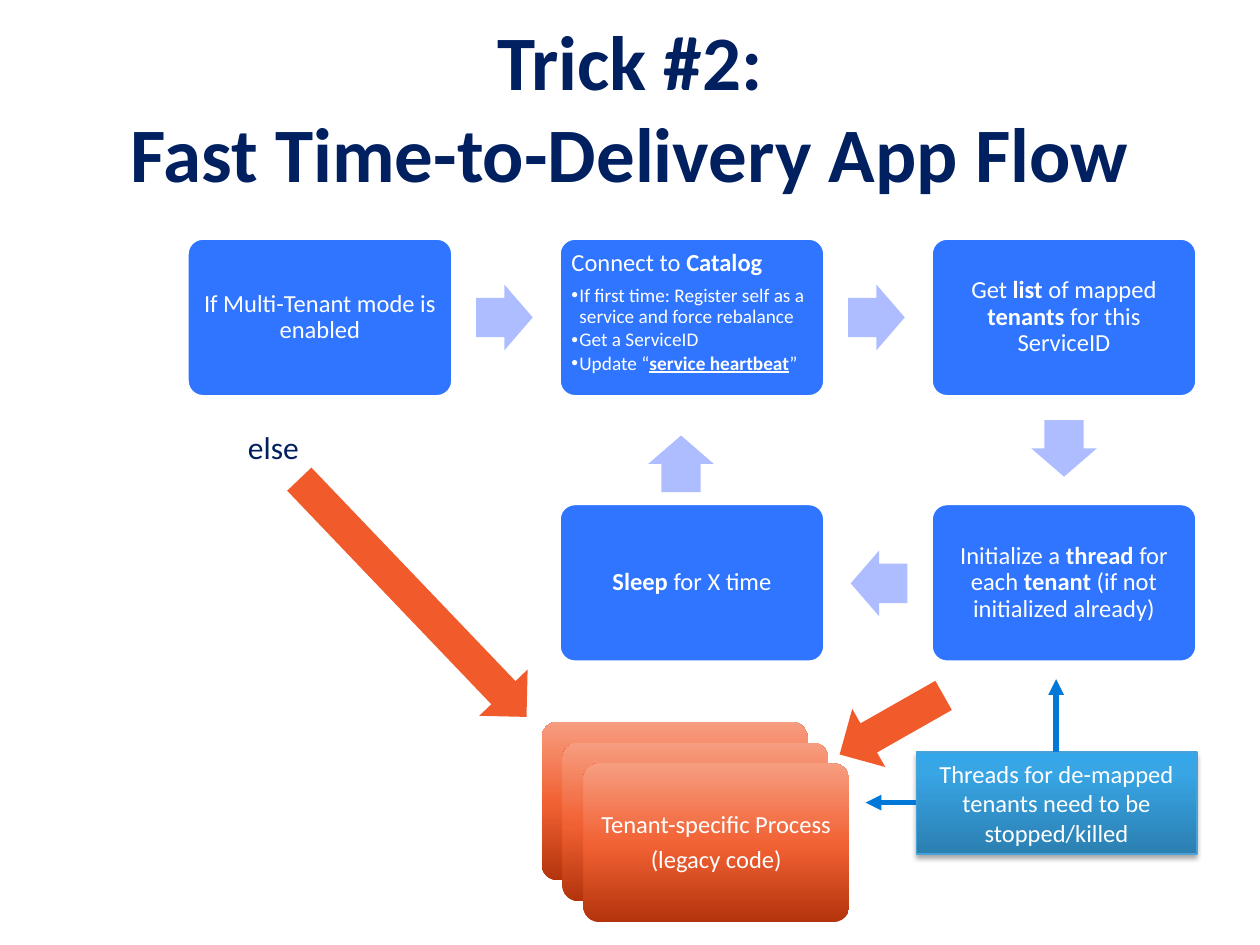
from dataclasses import dataclass

import pptx
import pptx.dml.color
import pptx.enum.shapes
import pptx.enum.text
import pptx.oxml
import pptx.oxml.ns
import pptx.util
from lxml import etree

Cm = pptx.util.Cm
Pt = pptx.util.Pt
Shape = pptx.enum.shapes.MSO_SHAPE
Align = pptx.enum.text.PP_ALIGN
Anchor = pptx.enum.text.MSO_ANCHOR
qn = pptx.oxml.ns.qn


@dataclass(frozen=True)
class Theme:
    font: str = "Calibri"
    navy: str = "002060"
    white: str = "FFFFFF"
    card: str = "2F75FF"
    flow: str = "ADBDFF"
    branch: str = "F15B2C"
    link: str = "0078D7"
    note_edge: str = "49A2D7"
    legacy: tuple = ((0, "B3340C"), (48, "F16032"), (100, "F79D80"))
    note: tuple = ((0, "2B7FB1"), (80, "38A5E5"), (100, "34A7EA"))
    title_size: int = 44
    label_size: int = 18
    text_size: int = 14
    bullet_size: int = 11


@dataclass(frozen=True)
class Box:
    left: float
    top: float
    width: float
    height: float

    def lengths(self) -> tuple:
        return tuple(Cm(n) for n in (self.left, self.top, self.width, self.height))


@dataclass(frozen=True)
class Card:
    column: int
    row: int
    text: str = ""


@dataclass(frozen=True)
class Arrow:
    box: Box
    rotation: float
    kind: int
    color: str
    adjustments: tuple


THEME = Theme()
CARD_WIDTH, CARD_HEIGHT = 5.36, 3.2
CARD_LEFT, CARD_TOP = 3.77, 4.8
COLUMN_PITCH, ROW_PITCH = 7.5, 5.35
STACK_LEFT, STACK_TOP, STACK_STEP, STACK_COUNT = 10.92, 14.55, 0.42, 3

CATALOG = Card(1, 0)
CARDS = (
    Card(0, 0, "If Multi-Tenant mode is enabled"),
    CATALOG,
    Card(2, 0, "Get *list* of mapped *tenants* for this ServiceID"),
    Card(2, 1, "Initialize a *thread* for each *tenant* (if not initialized already)"),
    Card(1, 1, "*Sleep* for X time"),
)
CATALOG_STEPS = (
    "If first time: Register self as a service and force rebalance",
    "Get a ServiceID",
    "Update “*service heartbeat*”",
)


def flow_arrow(left: float, top: float, rotation: float) -> Arrow:
    return Arrow(Box(left, top, 1.14, 1.32), rotation, Shape.RIGHT_ARROW, THEME.flow, (0.6, 0.5))


def branch_arrow(box: Box, rotation: float) -> Arrow:
    return Arrow(box, rotation, Shape.DOWN_ARROW, THEME.branch, (0.5, 0.5))


ARROWS = (
    flow_arrow(9.6, 5.74, 0),
    flow_arrow(9.6 + COLUMN_PITCH, 5.74, 0),
    flow_arrow(20.88, 8.38, 90),
    flow_arrow(17.15, 11.1, 180),
    flow_arrow(13.16, 8.69, 270),
    branch_arrow(Box(17.3, 13.41, 1.35, 2.41), 60.4),
    branch_arrow(Box(7.65, 8.74, 1.35, 6.63), 316.3),
)


def rgb(color: str):
    return pptx.dml.color.RGBColor.from_string(color)


def write(frame, text: str, *, size: int = THEME.text_size, color: str = THEME.white,
          align=Align.CENTER, spacing: float = 0.9, after: float = 5,
          bold: bool = False, underline: bool = False):
    """Add one paragraph; words between asterisks are emphasised."""
    first = frame.paragraphs[0]
    paragraph = frame.add_paragraph() if first.runs else first
    paragraph.alignment = align
    paragraph.line_spacing = spacing
    paragraph.space_before, paragraph.space_after = Pt(0), Pt(after)
    for number, line in enumerate(text.split("\n")):
        if number:
            paragraph.add_line_break()
        for index, words in enumerate(line.split("*")):
            if not words:
                continue
            emphasised = index % 2 == 1
            run = paragraph.add_run()
            run.text = words
            run.font.name, run.font.size = THEME.font, Pt(size)
            run.font.color.rgb = rgb(color)
            run.font.bold = bold or emphasised
            run.font.underline = underline and emphasised
    return paragraph


def prepare(frame, anchor=Anchor.MIDDLE, margin: float = 0.25) -> None:
    frame.word_wrap = True
    frame.auto_size = pptx.enum.text.MSO_AUTO_SIZE.NONE
    frame.vertical_anchor = anchor
    frame.margin_left = frame.margin_right = Cm(margin)
    frame.margin_top = frame.margin_bottom = Cm(margin)


def place(shape, box: Box) -> None:
    shape.left, shape.top, shape.width, shape.height = box.lengths()


def set_bullet(paragraph, character: str = "", indent: float = 0) -> None:
    properties = paragraph._p.get_or_add_pPr()
    properties.set("marL", str(Cm(indent)))
    properties.set("indent", str(-Cm(indent)))
    if character:
        etree.SubElement(properties, qn("a:buChar")).set("char", character)
    else:
        etree.SubElement(properties, qn("a:buNone"))


def add_panel(slide, kind: int, box: Box, color: str = "", stops: tuple = ()):
    panel = slide.shapes.add_shape(kind, *box.lengths())
    panel.shadow.inherit = False
    panel.line.fill.background()
    if stops:
        panel.fill.gradient()
        panel.fill.gradient_angle = 90
        stop_list = panel._element.spPr.find(".//" + qn("a:gsLst"))
        for old in list(stop_list):
            stop_list.remove(old)
        for position, stop_color in stops:
            stop = etree.SubElement(stop_list, qn("a:gs"), pos=str(position * 1000))
            etree.SubElement(stop, qn("a:srgbClr"), val=stop_color)
    else:
        panel.fill.solid()
        panel.fill.fore_color.rgb = rgb(color)
    prepare(panel.text_frame)
    return panel


def card_box(card: Card) -> Box:
    return Box(CARD_LEFT + card.column * COLUMN_PITCH, CARD_TOP + card.row * ROW_PITCH,
               CARD_WIDTH, CARD_HEIGHT)


def add_card(slide, card: Card) -> None:
    panel = add_panel(slide, Shape.ROUNDED_RECTANGLE, card_box(card), THEME.card)
    panel.adjustments[0] = 0.1
    panel.line.color.rgb = rgb(THEME.white)
    panel.line.width = Pt(2)
    if card.text:
        write(panel.text_frame, card.text)


def add_arrow(slide, arrow: Arrow) -> None:
    block = add_panel(slide, arrow.kind, arrow.box, arrow.color)
    block.rotation = arrow.rotation
    for index, amount in enumerate(arrow.adjustments):
        block.adjustments[index] = amount


def add_link(slide, start: tuple, end: tuple) -> None:
    link = slide.shapes.add_connector(pptx.enum.shapes.MSO_CONNECTOR.STRAIGHT,
                                      *(Cm(n) for n in start + end))
    link.line.color.rgb = rgb(THEME.link)
    link.line.width = Pt(3)
    etree.SubElement(link.line._get_or_add_ln(), qn("a:tailEnd"), type="triangle")
    etree.SubElement(link._element.spPr, qn("a:effectLst"))


def add_note(slide) -> None:
    note = add_panel(slide, Shape.RECTANGLE, Box(18.47, 15.16, 5.66, 2.06), stops=THEME.note)
    note.line.color.rgb = rgb(THEME.note_edge)
    note.line.width = Pt(0.75)
    effects = note._element.spPr.find(qn("a:effectLst"))
    shadow = etree.SubElement(effects, qn("a:outerShdw"), blurRad=str(Pt(3.1)),
                              dist=str(Pt(1.8)), dir="5400000", rotWithShape="0")
    shade = etree.SubElement(shadow, qn("a:srgbClr"), val="000000")
    etree.SubElement(shade, qn("a:alpha"), val="35000")
    prepare(note.text_frame, margin=0.13)
    write(note.text_frame, "Threads for de-mapped tenants need to be stopped/killed",
          spacing=1, after=0)


def add_legacy_stack(slide) -> None:
    for level in range(STACK_COUNT):
        offset = level * STACK_STEP
        process = add_panel(slide, Shape.ROUNDED_RECTANGLE,
                            Box(STACK_LEFT + offset, STACK_TOP + offset, CARD_WIDTH, CARD_HEIGHT),
                            stops=THEME.legacy)
        process.adjustments[0] = 0.1
    for line in ("Tenant-specific Process", "(legacy code)"):
        write(process.text_frame, line)


def fill_catalog(slide, steps) -> None:
    place(steps, card_box(CATALOG))
    slide.shapes._spTree.append(steps._element)
    prepare(steps.text_frame, Anchor.TOP, 0.25)
    set_bullet(write(steps.text_frame, "Connect to *Catalog*", align=Align.LEFT))
    for step in CATALOG_STEPS:
        paragraph = write(steps.text_frame, step, size=THEME.bullet_size, align=Align.LEFT,
                          after=1.65, underline=True)
        paragraph.level = 1
        set_bullet(paragraph, "•", 0.16)


def main() -> None:
    deck = pptx.Presentation()
    deck.slide_width, deck.slide_height = Cm(25.4), Cm(19.05)
    slide = deck.slides.add_slide(deck.slide_layouts[1])
    title, steps = slide.placeholders
    place(title, Box(2.3, 0.13, 20.8, 4.01))
    prepare(title.text_frame, margin=0.13)
    write(title.text_frame, "Trick #2:\nFast Time-to-Delivery App Flow",
          size=THEME.title_size, color=THEME.navy, spacing=1, after=0, bold=True)
    for card in CARDS:
        add_card(slide, card)
    fill_catalog(slide, steps)
    add_legacy_stack(slide)
    for arrow in ARROWS:
        add_arrow(slide, arrow)
    otherwise = slide.shapes.add_textbox(*Box(4.75, 8.51, 1.55, 1.02).lengths())
    otherwise.text_frame.word_wrap = False
    write(otherwise.text_frame, "else", size=THEME.label_size, color=THEME.navy,
          align=Align.LEFT, spacing=1, after=0)
    add_note(slide)
    add_link(slide, (18.47, 16.18), (17.45, 16.18))
    add_link(slide, (21.29, 15.16), (21.29, 13.69))
    deck.save("out.pptx")


if __name__ == "__main__":
    main()
